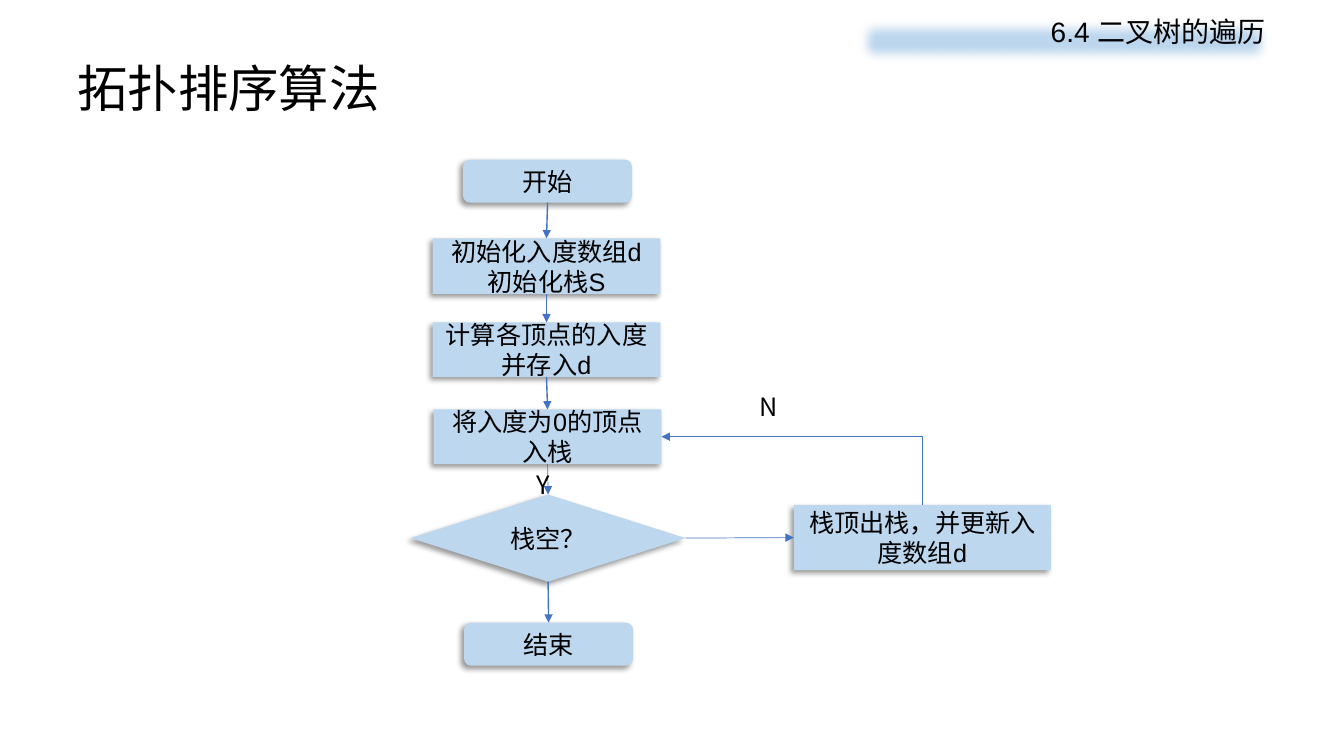
"""Build the flowchart slide for the topological sort algorithm."""
from lxml import etree
from pptx import Presentation
from pptx.dml.color import RGBColor
from pptx.enum.shapes import MSO_CONNECTOR as Link, MSO_SHAPE as Shape
from pptx.enum.text import MSO_ANCHOR as Anchor, PP_ALIGN as Align
from pptx.oxml.ns import qn
from pptx.util import Pt

SCALE = 9525
COLORS = {"fill": "BDD7EE", "line": "4472C4", "text": "000000", "shadow": "000000"}
LATIN, CHINESE = "Arial", "Noto Sans CJK SC"
TOP, LEFT, BOTTOM, RIGHT = range(4)


def px(*values):
    """Turn pixels into EMU."""
    return [value * SCALE for value in values]


def color(name):
    """Return a named colour."""
    return RGBColor.from_string(COLORS[name])


def child(parent, tag, **attributes):
    """Append a drawing element."""
    return etree.SubElement(parent, qn(tag), attributes)


class FlowPage:
    """Hold the style and the current slide."""

    def __init__(self, deck):
        """Add a title-only slide."""
        self.page = deck.slides.add_slide(deck.slide_layouts[5])

    def fill_text(self, frame, lines, size, font, align, spacing=None):
        """Fill a text frame with one paragraph per line."""
        frame.word_wrap = True
        for index, line in enumerate(lines):
            para = frame.add_paragraph() if index else frame.paragraphs[0]
            para.alignment = align
            para.space_before = Pt(0)
            para.line_spacing = spacing
            span = para.add_run()
            span.text = line
            span.font.size = Pt(size)
            span.font.name = font
            span.font.color.rgb = color("text")
            child(span.font._element, "a:ea", typeface=CHINESE)

    def title(self, text, *bounds):
        """Place and format the title."""
        box = self.page.shapes.title
        box.left, box.top, box.width, box.height = px(*bounds)
        box.text_frame.vertical_anchor = Anchor.MIDDLE
        self.fill_text(box.text_frame, [text], 36, CHINESE, Align.LEFT, 0.9)

    def block(self, kind, *bounds):
        """Add a filled shape without outline or shadow."""
        box = self.page.shapes.add_shape(kind, *px(*bounds))
        box.shadow.inherit = False
        box.fill.solid()
        box.fill.fore_color.rgb = color("fill")
        box.line.fill.background()
        return box

    def header(self, text, *bounds):
        """Add the soft-edged section bar."""
        box = self.block(Shape.RECTANGLE, *bounds)
        effects = box._element.spPr.find(qn("a:effectLst"))
        child(effects, "a:softEdge", rad="112500")
        box.text_frame.vertical_anchor = Anchor.TOP
        self.fill_text(box.text_frame, [text], 20, LATIN, Align.RIGHT, 0.9)

    def node(self, kind, lines, *bounds):
        """Add a flowchart step with a shadow."""
        box = self.block(kind, *bounds)
        effects = box._element.spPr.find(qn("a:effectLst"))
        shadow = child(effects, "a:outerShdw", blurRad=str(Pt(4)), dist=str(Pt(3)),
                       dir="8100000", algn="tr", rotWithShape="0")
        child(child(shadow, "a:srgbClr", val=COLORS["shadow"]), "a:alpha", val="40000")
        frame = box.text_frame
        frame.vertical_anchor = Anchor.MIDDLE
        frame.margin_top = frame.margin_bottom = 0
        self.fill_text(frame, lines, 18, LATIN, Align.CENTER)
        return box

    def label(self, text, *bounds):
        """Add a branch label."""
        box = self.page.shapes.add_textbox(*px(*bounds))
        self.fill_text(box.text_frame, [text], 18, CHINESE, Align.LEFT)

    def arrow(self, start, start_side, end, end_side, weight=1, kind=Link.STRAIGHT):
        """Join two steps with an arrow."""
        arrow = self.page.shapes.add_connector(kind, 0, 0, 0, 0)
        arrow.begin_connect(start, start_side)
        arrow.end_connect(end, end_side)
        arrow.line.color.rgb = color("line")
        arrow.line.width = Pt(weight)
        child(arrow.line._get_or_add_ln(), "a:tailEnd", type="triangle")
        child(arrow._element.spPr, "a:effectLst")
        return arrow

    def corner_arrow(self, start, end):
        """Run an arrow up from a step's top, then left into another's right side."""
        arrow = self.arrow(start, TOP, end, RIGHT, kind=Link.ELBOW)
        across, rise = arrow.width, arrow.height
        shift = (across - rise) // 2
        arrow.left, arrow.top = arrow.left + shift, arrow.top - shift
        arrow.width, arrow.height = rise, across
        properties = arrow._element.spPr
        properties.find(qn("a:prstGeom")).set("prst", "bentConnector2")
        frame = properties.find(qn("a:xfrm"))
        frame.attrib.pop("flipH", None)
        frame.set("rot", "16200000")
        frame.set("flipV", "1")


def main():
    """Build and save the deck."""
    deck = Presentation()
    deck.slide_width, deck.slide_height = px(1280, 720)
    flow = FlowPage(deck)
    flow.title("拓扑排序算法", 64, 51, 1152, 72)
    flow.header("6.4 二叉树的遍历", 812, 13, 403, 52)

    start = flow.node(Shape.ROUNDED_RECTANGLE, ["开始"], 441, 152, 161, 41)
    prepare = flow.node(Shape.RECTANGLE, ["初始化入度数组d", "初始化栈S"], 412, 227, 217, 53)
    count = flow.node(Shape.RECTANGLE, ["计算各顶点的入度并存入d"], 412, 307, 217, 52)
    push = flow.node(Shape.RECTANGLE, ["将入度为0的顶点入栈"], 413, 390, 217, 52)
    check = flow.node(Shape.FLOWCHART_DECISION, ["栈空？"], 391, 471, 262, 83)
    finish = flow.node(Shape.ROUNDED_RECTANGLE, ["结束"], 442, 593, 161, 41)
    update = flow.node(Shape.RECTANGLE, ["栈顶出栈，并更新入度数组d"], 756, 481, 245, 62)

    for upper, lower, weight in [(start, prepare, 1), (prepare, count, 1), (count, push, 1),
                                 (push, check, 0.5), (check, finish, 1)]:
        flow.arrow(upper, BOTTOM, lower, TOP, weight)
    flow.arrow(check, RIGHT, update, LEFT, 0.5)
    flow.corner_arrow(update, push)
    flow.label("Y", 502, 442, 35, 38)
    flow.label("N", 714, 368, 35, 38)
    deck.save("out.pptx")


if __name__ == "__main__":
    main()
